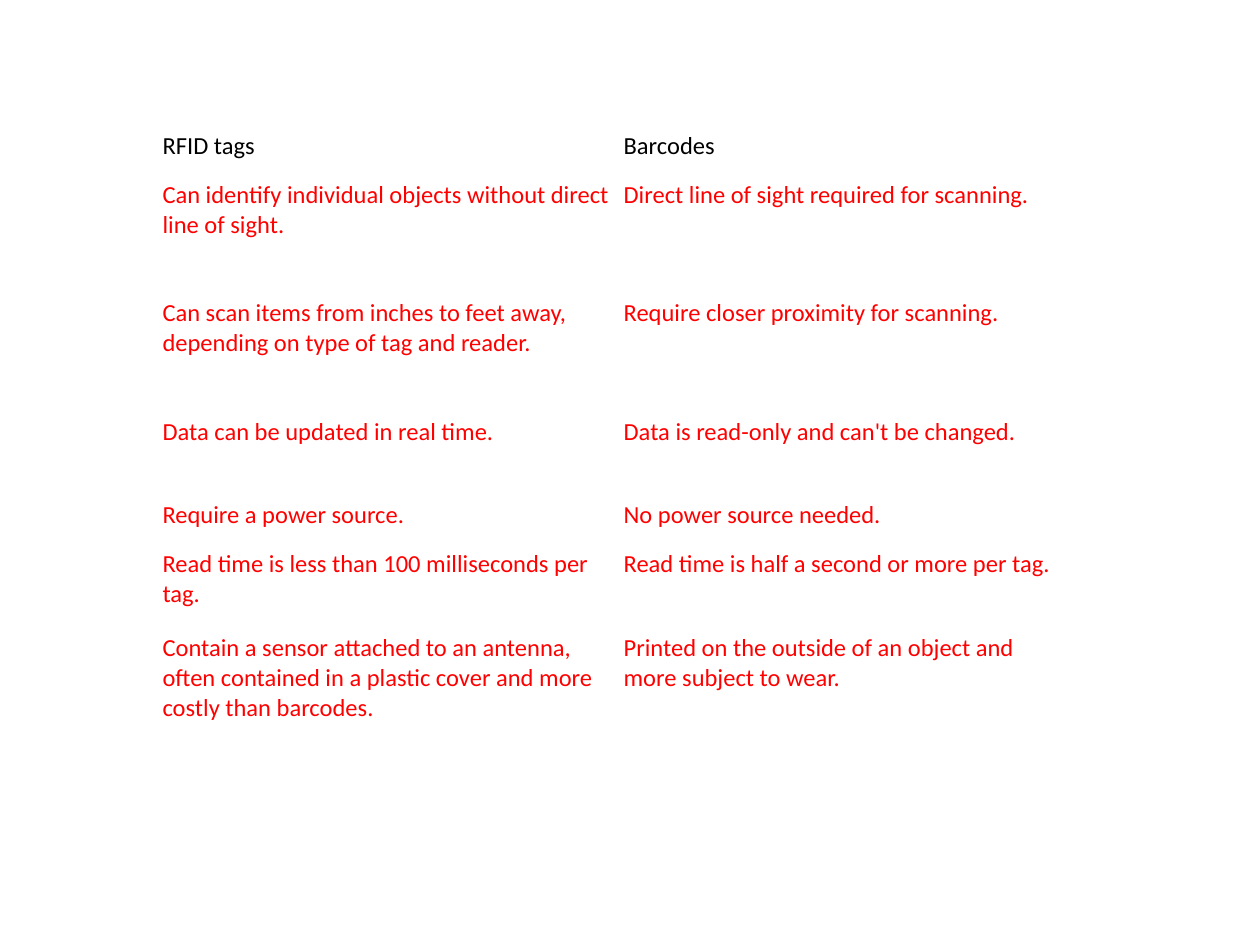
"""Build a slide with a table comparing RFID tags and barcodes."""
from pptx import Presentation
from pptx.dml.color import RGBColor
from pptx.util import Inches, Pt

BLANK_LAYOUT = 6
COLUMN_WIDTHS = [3.66, 3.59]
ROW_HEIGHTS = [0.39, 0.94, 0.94, 0.66, 0.39, 0.67, 1.51]
ROWS = [
    ("RFID tags", "Barcodes"),
    ("Can identify individual objects without direct line of sight.",
     "Direct line of sight required for scanning."),
    ("Can scan items from inches to feet away, depending on type of tag and reader.",
     "Require closer proximity for scanning."),
    ("Data can be updated in real time.", "Data is read-only and can't be changed."),
    ("Require a power source.", "No power source needed."),
    ("Read time is less than 100 milliseconds per tag.",
     "Read time is half a second or more per tag."),
    ("Contain a sensor attached to an antenna, often contained in a plastic cover "
     "and more costly than barcodes.",
     "Printed on the outside of an object and more subject to wear."),
]
CELL_FORMAT = {f"margin_{side}": Inches(0.04) for side in ("left", "right", "top", "bottom")}
FONT_FORMAT = {"name": "Calibri", "size": Pt(14), "bold": False}


def color(hex_string):
    return RGBColor.from_string(hex_string)


def set_format(target, values):
    for name, value in values.items():
        setattr(target, name, value)


presentation = Presentation()
set_format(presentation, {"slide_width": Inches(10), "slide_height": Inches(7.5)})
slide = presentation.slides.add_slide(presentation.slide_layouts[BLANK_LAYOUT])

table = slide.shapes.add_table(
    len(ROWS), len(COLUMN_WIDTHS), Inches(1.25), Inches(1), Inches(7.25), Inches(5.5)
).table
set_format(table, {"first_row": False, "horz_banding": False})
for column, width in zip(table.columns, COLUMN_WIDTHS):
    column.width = Inches(width)

for row_index, (row, height, texts) in enumerate(zip(table.rows, ROW_HEIGHTS, ROWS)):
    row.height = Inches(height)
    for cell, text in zip(row.cells, texts):
        set_format(cell, CELL_FORMAT)
        cell.fill.background()
        run = cell.text_frame.paragraphs[0].add_run()
        run.text = text
        set_format(run.font, FONT_FORMAT)
        run.font.color.rgb = color("000000" if row_index == 0 else "FF0000")

presentation.save("out.pptx")
